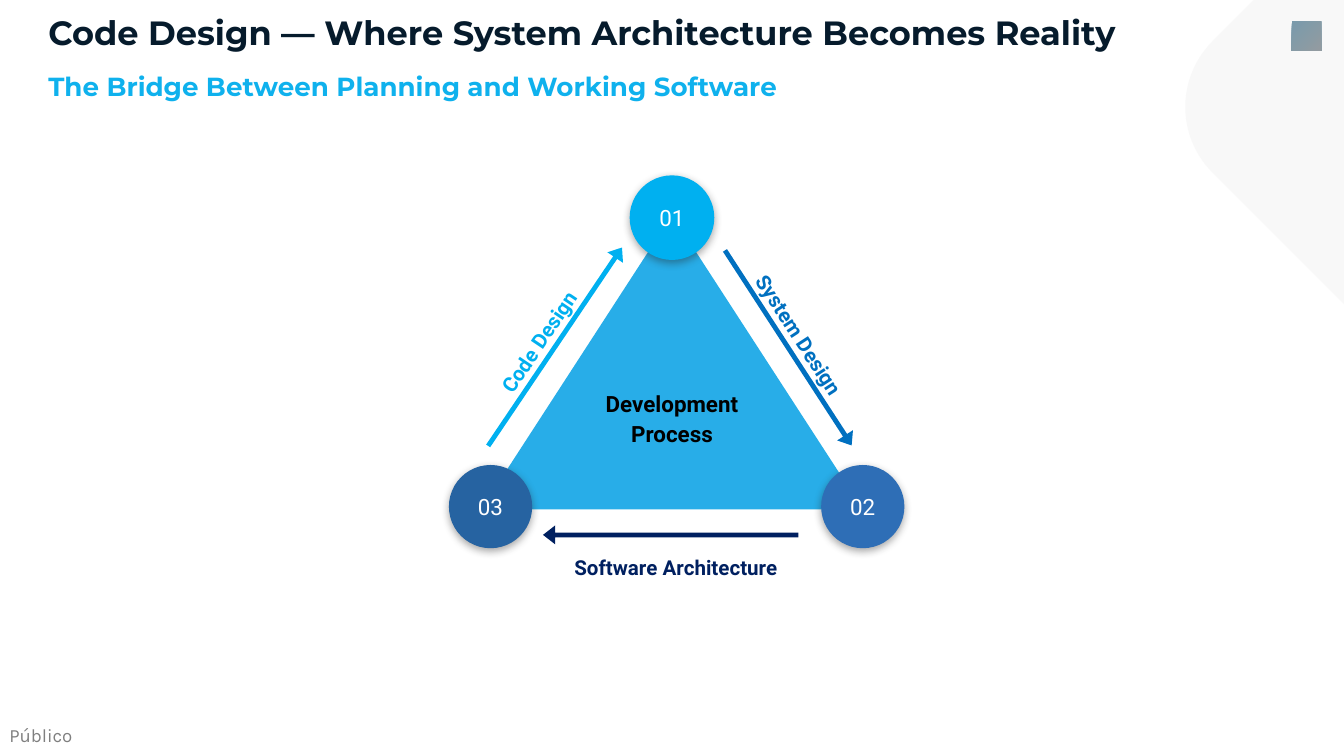
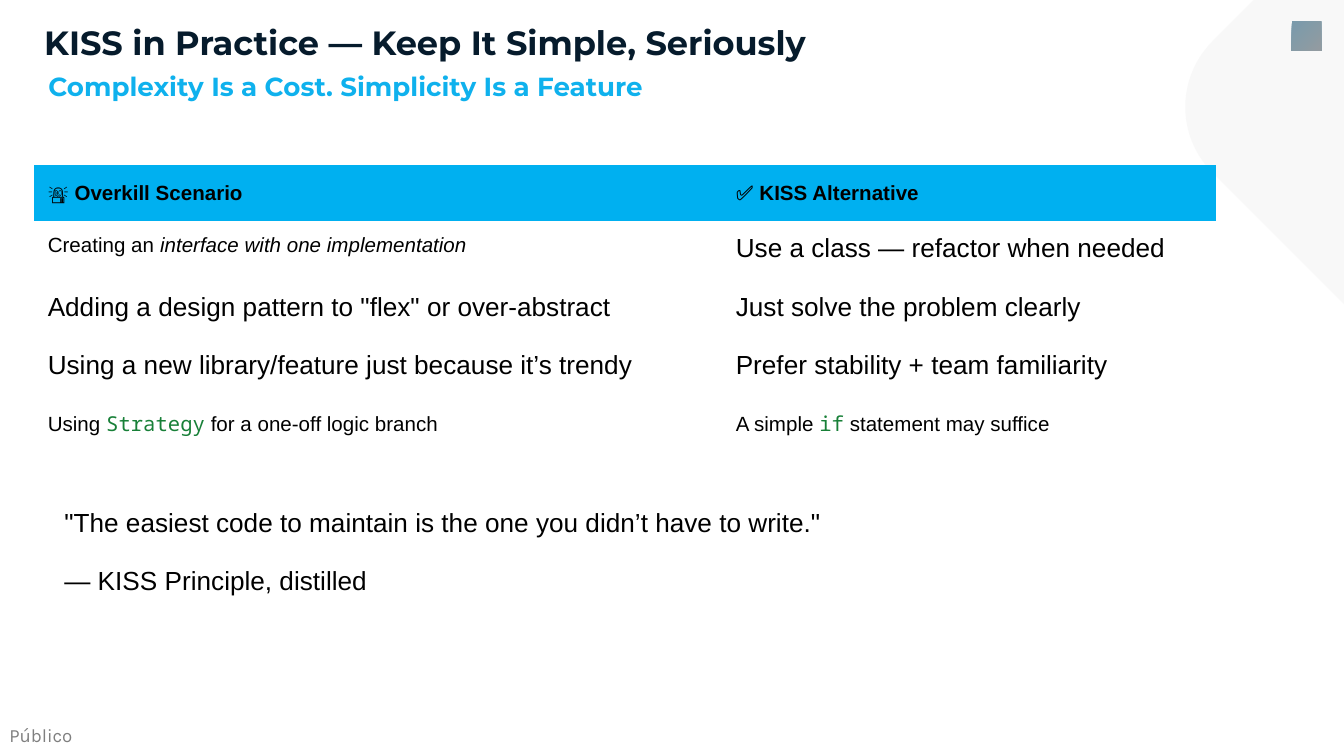
from dataclasses import dataclass, replace
from typing import NamedTuple, Optional

from lxml import etree
from pptx import Presentation
from pptx.dml.color import RGBColor
from pptx.enum import shapes as kinds, text as modes
from pptx.oxml import ns
from pptx.util import Pt

HUES = {
    "ink": "061B2C", "sky": "0FB1ED", "black": "000000", "white": "FFFFFF",
    "pale": "F2F2F2", "teal": "004366", "slate": "36454F", "core": "28ADE8",
    "cyan": "00B0F0", "blue": "0070C0", "navy": "002060", "steel": "2663A1",
    "royal": "2E6EB6", "shade": "212121", "code": "188038",
}
KIND = kinds.MSO_SHAPE
PAD = 7.2
DISK = 44.6
PLAIN_GRID = "{2D5ABB26-0587-4C30-8999-92F81FD0307C}"


class Box(NamedTuple):
    left: float
    top: float
    width: float
    height: float


class Bit(NamedTuple):
    text: str
    code: bool = False
    slant: bool = False


@dataclass(frozen=True)
class Look:
    size: float
    font: str = "Arial"
    hue: str = "black"
    bold: bool = False
    mid: bool = False
    lead: Optional[float] = None


@dataclass(frozen=True)
class Node:
    label: str
    left: float
    top: float
    hue: str
    line: bool = False


@dataclass(frozen=True)
class Side:
    label: str
    hue: str
    arrow: Box
    turn: float
    place: Box
    tilt: float


@dataclass(frozen=True)
class Cell:
    size: float
    bits: tuple


TITLE = Look(18, "Montserrat", "ink", True)
SUB = Look(14, "Montserrat", "sky", True)
FOOT = Look(10, "Karla")
CORE = Look(12, "Roboto", bold=True, mid=True, lead=1.15)
NODE = Look(12, "Roboto", "white", mid=True)
QUOTE = Look(14, lead=1.15)
HEAD = Look(11, bold=True, lead=1.15)

NODES = (
    Node("01", 337.7, 94.3, "cyan", True),
    Node("02", 439.9, 249.1, "royal"),
    Node("03", 240.5, 249.1, "steel"),
)
SIDES = (
    Side("Software Architecture", "navy", Box(290.9, 281.5, 136.8, 10.1), 180,
         Box(296.6, 288, 131, 23), 0),
    Side("Code Design", "cyan", Box(233.3, 180.7, 128.2, 10.1), 304,
         Box(219.6, 169.2, 131, 23), 303.9),
    Side("System Design", "blue", Box(360, 181.4, 124.6, 10.1), 57,
         Box(365.8, 165.6, 131.8, 23), 57),
)
HEADS = ("🚨 Overkill Scenario", "✅ KISS Alternative")
ROWS = (
    (Cell(11, (Bit("Creating an "), Bit("interface with one implementation", slant=True))),
     Cell(14, (Bit("Use a class — refactor when needed"),))),
    (Cell(14, (Bit('Adding a design pattern to "flex" or over-abstract'),)),
     Cell(14, (Bit("Just solve the problem clearly"),))),
    (Cell(14, (Bit("Using a new library/feature just because it’s trendy"),)),
     Cell(14, (Bit("Prefer stability + team familiarity"),))),
    (Cell(11, (Bit("Using "), Bit("Strategy", code=True), Bit(" for a one-off logic branch"))),
     Cell(11, (Bit("A simple "), Bit("if", code=True), Bit(" statement may suffice")))),
)


def rgb(hue: str) -> RGBColor:
    return RGBColor.from_string(HUES[hue])


def pts(box: Box) -> list:
    return [Pt(side) for side in box]


def fade(node, share: int) -> None:
    tint = next(node.iter(ns.qn("a:srgbClr")))
    etree.SubElement(tint, ns.qn("a:alpha"), val=str(share * 1000))


def style(para, look: Look) -> None:
    if look.mid:
        para.alignment = modes.PP_ALIGN.CENTER
    if look.lead:
        para.line_spacing = look.lead
    font = para.font
    font.size = Pt(look.size)
    font.name = look.font
    font.bold = look.bold
    font.color.rgb = rgb(look.hue)


def inset(frame, side: float, edge: float) -> None:
    frame.margin_left = frame.margin_right = Pt(side)
    frame.margin_top = frame.margin_bottom = Pt(edge)


def write(slide, box: Box, words: str, look: Look, side: float = PAD,
          edge: float = PAD, turn: float = 0):
    shape = slide.shapes.add_textbox(*pts(box))
    shape.rotation = turn
    frame = shape.text_frame
    frame.word_wrap = True
    inset(frame, side, edge)
    frame.text = words
    for para in frame.paragraphs:
        style(para, look)
    return shape


def draw(slide, kind, box: Box, hue: str, turn: float = 0, bends: tuple = ()):
    shape = slide.shapes.add_shape(kind, *pts(box))
    shape.shadow.inherit = False
    shape.rotation = turn
    for spot, bend in enumerate(bends):
        shape.adjustments[spot] = bend
    shape.fill.solid()
    shape.fill.fore_color.rgb = rgb(hue)
    shape.line.fill.background()
    return shape


def base(deck, title: str, sub: str, place: Box, lead: Optional[float] = None):
    slide = deck.slides.add_slide(deck.slide_layouts[6])
    foot = write(slide, Box(5, 388, 34.6, 12.2), "Público", FOOT, 0, 0)
    foot.text_frame.word_wrap = False
    fade(foot.element, 50)
    mark = draw(slide, KIND.RECTANGLE, Box(692, 11.5, 15.8, 15.8), "teal")
    mark.fill.gradient()
    mark.fill.gradient_angle = 315
    for spot, (stop, hue) in enumerate(zip(mark.fill.gradient_stops, ("teal", "slate"))):
        stop.color.rgb = rgb(hue)
        stop.position = spot
    write(slide, place, title, replace(TITLE, lead=lead), 5, 2.9)
    veil = draw(slide, KIND.ROUNDED_RECTANGLE, Box(656.6, -44.6, 203.8, 203.8),
                "pale", 45, (0.244,))
    fade(veil.element.spPr, 50)
    write(slide, Box(20.9, 34.6, 451.4, 22.3), sub, SUB, 5, 2.9)
    return slide


def glow(shape) -> None:
    group = shape.element.spPr.find(ns.qn("a:effectLst"))
    cast = etree.SubElement(group, ns.qn("a:outerShdw"), blurRad=str(Pt(4.5)),
                            dist=str(Pt(1.5)), dir="5400000", rotWithShape="0")
    etree.SubElement(cast, ns.qn("a:srgbClr"), val=HUES["shade"])
    fade(cast, 38)


def add_node(slide, node: Node) -> None:
    disk = draw(slide, KIND.OVAL, Box(node.left, node.top, DISK, DISK), node.hue)
    glow(disk)
    if node.line:
        disk.line.color.rgb = rgb(node.hue)
        disk.line.width = Pt(0.75)
    frame = disk.text_frame
    frame.vertical_anchor = modes.MSO_ANCHOR.MIDDLE
    inset(frame, PAD, PAD)
    frame.text = node.label
    style(frame.paragraphs[0], NODE)


def add_side(slide, side: Side) -> None:
    draw(slide, KIND.RIGHT_ARROW, side.arrow, side.hue, side.turn, (0.255, 0.643))
    look = replace(CORE, size=11, hue=side.hue)
    write(slide, side.place, side.label, look, turn=side.tilt)


def fill_cell(cell, bits: tuple, look: Look) -> None:
    inset(cell, PAD, PAD)
    para = cell.text_frame.paragraphs[0]
    style(para, look)
    for bit in bits:
        run = para.add_run()
        run.text = bit.text
        if bit.slant:
            run.font.italic = True
        if bit.code:
            run.font.name = "Noto Sans Mono"
            run.font.color.rgb = rgb("code")


def add_grid(slide) -> None:
    frame = slide.shapes.add_table(len(ROWS) + 1, 2, *pts(Box(18.4, 88.6, 632.9, 155)))
    grid = frame.table
    grid.first_row = grid.horz_banding = False
    next(frame.element.iter(ns.qn("a:tableStyleId"))).text = PLAIN_GRID
    for col, width in zip(grid.columns, (368.6, 264.3)):
        col.width = Pt(width)
    for spot, row in enumerate(grid.rows):
        row.height = Pt(31.4 if spot else 29.4)
    for spot, words in enumerate(HEADS):
        cell = grid.cell(0, spot)
        cell.fill.solid()
        cell.fill.fore_color.rgb = rgb("cyan")
        fill_cell(cell, (Bit(words),), HEAD)
    for down, row in enumerate(ROWS, 1):
        for across, item in enumerate(row):
            cell = grid.cell(down, across)
            cell.fill.background()
            fill_cell(cell, item.bits, Look(item.size))


def cycle(deck) -> None:
    slide = base(deck, "Code Design — Where System Architecture Becomes Reality",
                 "The Bridge Between Planning and Working Software",
                 Box(20.9, 3.6, 612, 27.4))
    draw(slide, KIND.ISOSCELES_TRIANGLE, Box(257.8, 115.2, 204.5, 157.7), "core")
    write(slide, Box(303.1, 199.4, 113.8, 63.4), "Development Process", CORE)
    for side in SIDES:
        add_side(slide, side)
    for node in NODES:
        add_node(slide, node)


def simple(deck) -> None:
    slide = base(deck, "KISS in Practice — Keep It Simple, Seriously",
                 "Complexity Is a Cost. Simplicity Is a Feature",
                 Box(18.7, 5.8, 451.4, 27.4), 1.15)
    add_grid(slide)
    quote = write(slide, Box(27.4, 261.4, 479.5, 63.4),
                  '"The easiest code to maintain is the one you didn’t have to write."\n'
                  "— KISS Principle, distilled", QUOTE)
    quote.text_frame.paragraphs[1].space_before = Pt(12)


def main() -> None:
    deck = Presentation()
    deck.slide_width, deck.slide_height = Pt(720), Pt(405)
    cycle(deck)
    simple(deck)
    deck.save("out.pptx")


if __name__ == "__main__":
    main()
